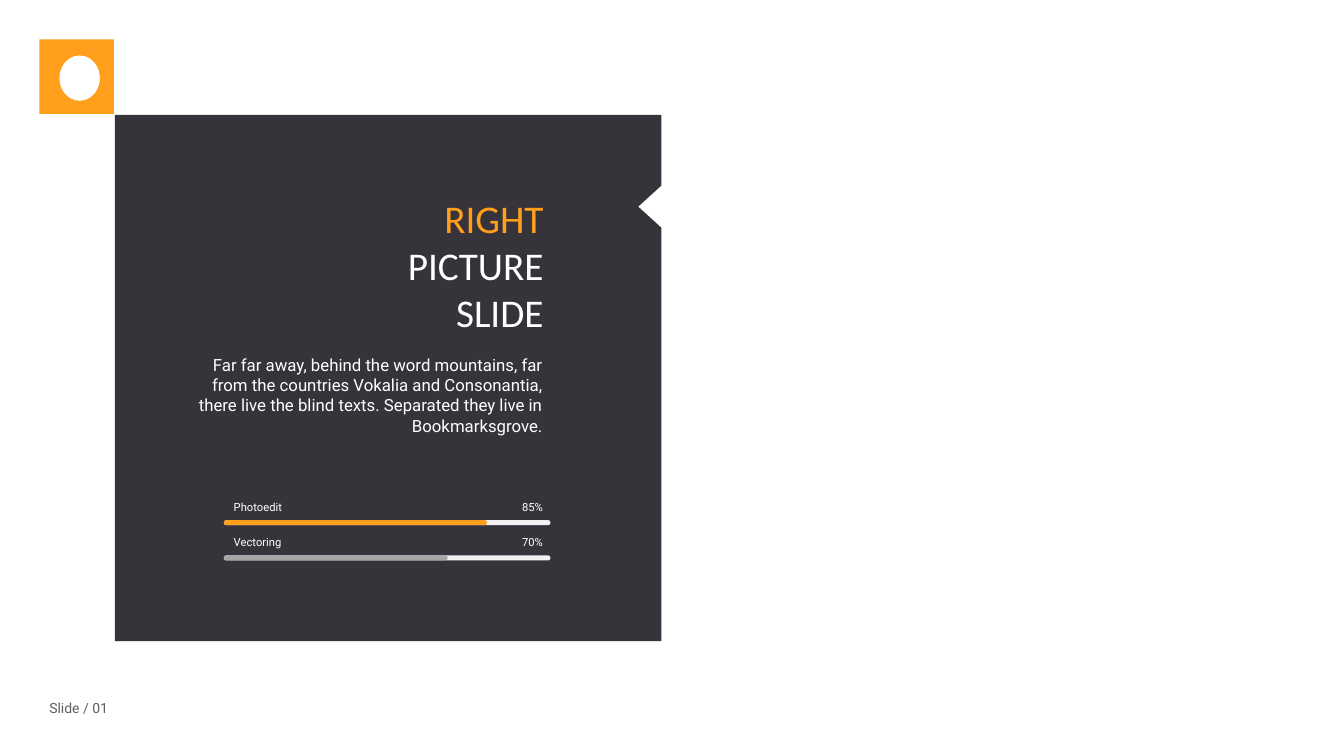
from pptx import Presentation
from pptx.dml.color import RGBColor
from pptx.enum import shapes, text
from pptx.util import Inches, Pt

ORANGE, DARK, WHITE = "FF9F1B", "37333B", "FFFFFF"
LIGHT, SILVER, GREY = "F2F2F2", "A6A6A6", "606060"
KIND = shapes.MSO_SHAPE
PANEL = [(1.14, 1.14), (6.56, 1.14), (6.56, 1.84), (6.33, 2.05),
         (6.56, 2.26), (6.56, 6.36), (1.14, 6.36)]
SKILLS = [("Photoedit", "85%", 2.61, ORANGE),
          ("Vectoring", "70%", 2.22, SILVER)]


def rgb(color):
    """Turn a hex string into a colour."""
    return RGBColor.from_string(color)


def paint(sp, color):
    """Give a shape a flat fill with no line or shadow."""
    sp.fill.solid()
    sp.fill.fore_color.rgb = rgb(color)
    sp.line.fill.background()
    sp.shadow.inherit = False


def add_block(s, kind, box, color):
    """Add a flat preset shape."""
    sp = s.shapes.add_shape(kind, *map(Inches, box))
    paint(sp, color)
    return sp


def add_panel(s, points, color):
    """Add the notched panel from its corner points."""
    corners = [(Inches(x), Inches(y)) for x, y in points]
    builder = s.shapes.build_freeform(*corners[0])
    builder.add_line_segments(corners[1:], close=True)
    paint(builder.convert_to_shape(), color)


def add_text(s, box, lines, size, font="Roboto", right=False, wrap=False):
    """Add a text box with one paragraph per (wording, colour) pair."""
    tf = s.shapes.add_textbox(*map(Inches, box)).text_frame
    tf.word_wrap = wrap
    tf.auto_size = text.MSO_AUTO_SIZE.SHAPE_TO_FIT_TEXT
    for i, (wording, color) in enumerate(lines):
        p = tf.add_paragraph() if i else tf.paragraphs[0]
        p.alignment = text.PP_ALIGN.RIGHT if right else text.PP_ALIGN.LEFT
        r = p.add_run()
        r.text = wording
        r.font.size = Pt(size)
        r.font.name = font
        r.font.color.rgb = rgb(color)


def add_skill(s, top, name, share, bar_width, color):
    """Add a skill name, its percentage and its progress bar."""
    add_text(s, (2.22, top, 0.76, 0.24), [(name, WHITE)], 8)
    add_text(s, (5.08, top, 0.41, 0.24), [(share, WHITE)], 8)
    for width, fill in ((3.24, LIGHT), (bar_width, color)):
        box = (2.22, top + 0.25, width, 0.05)
        bar = add_block(s, KIND.ROUNDED_RECTANGLE, box, fill)
        bar.adjustments[0] = 0.5


def main():
    """Build the slide and save it."""
    prs = Presentation()
    prs.slide_width, prs.slide_height = Inches(13.33), Inches(7.5)
    s = prs.slides.add_slide(prs.slide_layouts[6])

    add_block(s, KIND.RECTANGLE, (0.39, 0.39, 0.74, 0.74), ORANGE)
    add_block(s, KIND.OVAL, (0.59, 0.55, 0.4, 0.45), WHITE)
    add_panel(s, PANEL, DARK)
    add_text(s, (0.39, 6.89, 0.79, 0.27), [("Slide / 01", GREY)], 10)
    for i, skill in enumerate(SKILLS):
        add_skill(s, 4.91 + 0.35 * i, *skill)
    title = [("RIGHT", ORANGE), ("PICTURE", WHITE), ("SLIDE", WHITE)]
    add_text(s, (3.62, 1.88, 1.87, 1.51), title, 28, "Calibri", right=True)
    story = ("Far far away, behind the word mountains, far from the countries "
             "Vokalia and Consonantia, there live the blind texts. "
             "Separated they live in Bookmarksgrove.")
    add_text(s, (1.83, 3.47, 3.65, 0.91), [(story, WHITE)], 12,
             right=True, wrap=True)
    prs.save("out.pptx")


if __name__ == "__main__":
    main()
